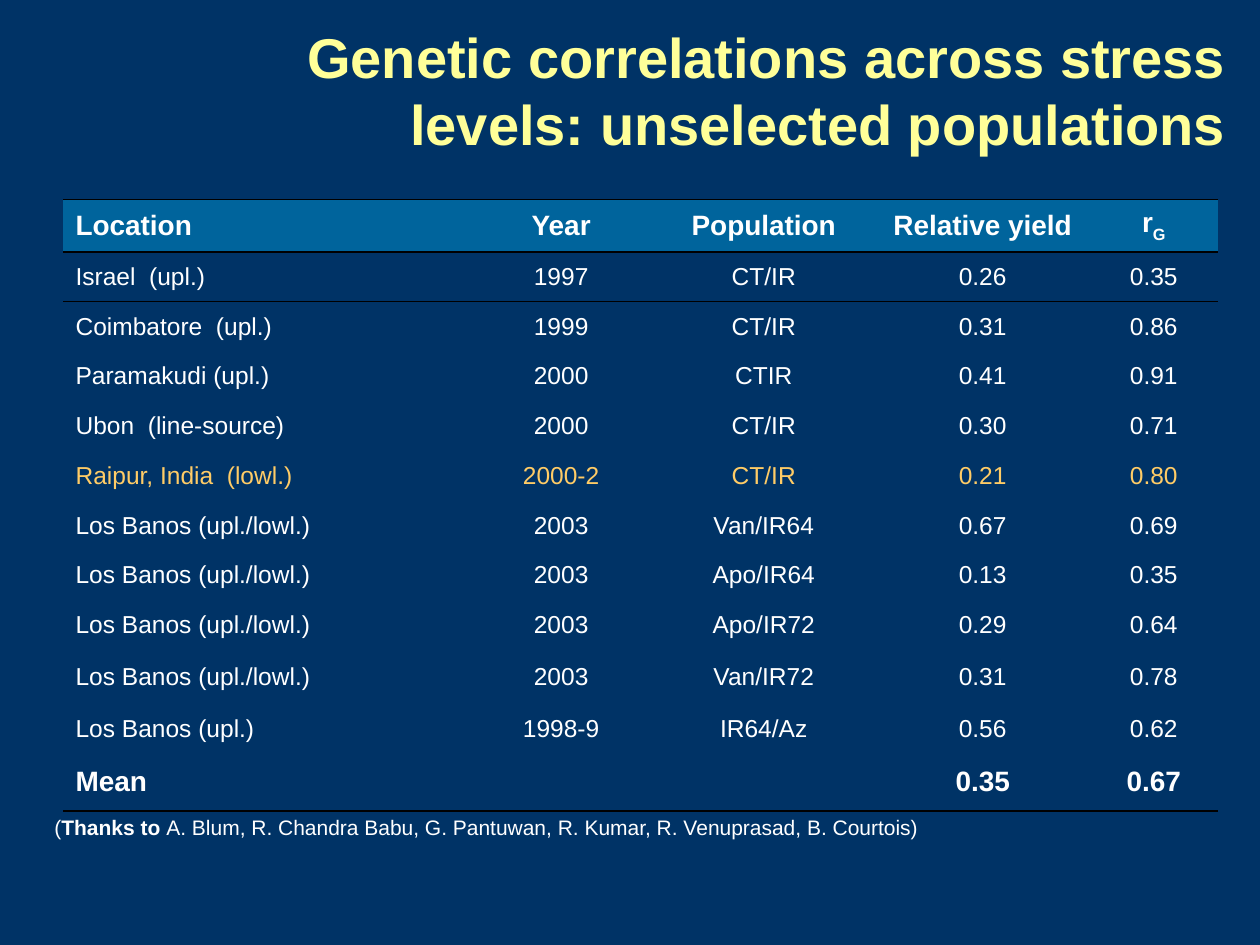
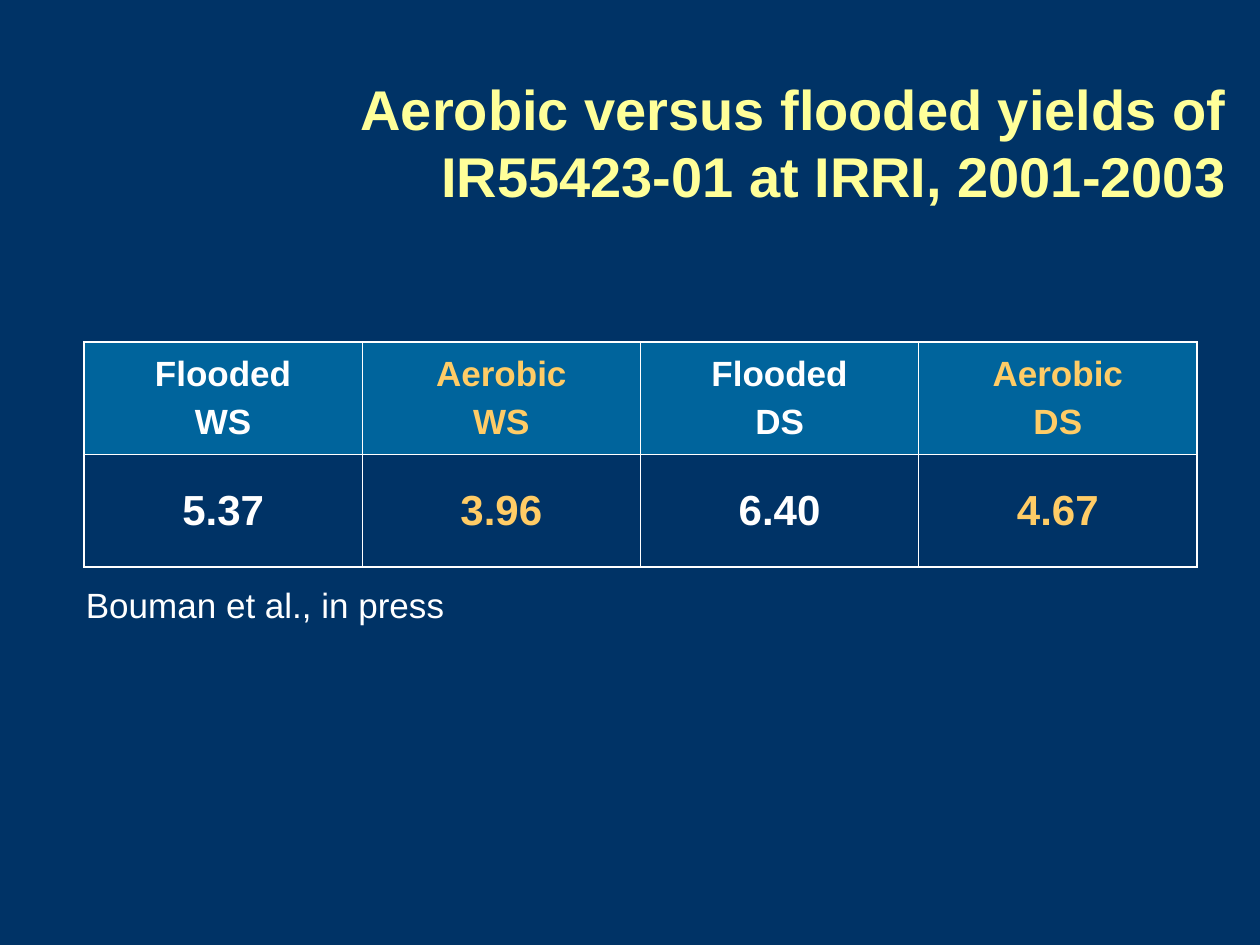
from lxml import etree
from pptx import Presentation, util as u
from pptx.dml.color import RGBColor
from pptx.enum import text
from pptx.oxml.ns import qn

NAVY, BLUE, BLACK = "003366", "00649C", "000000"
WHITE, GOLD, CREAM = "FFFFFF", "FFCC66", "FFFF99"
COLS, ROWS = 120, 90
PLAIN = "{2D5ABB26-0587-4C30-8999-92F81FD0307C}"
LEFT, MID, RIGHT = text.PP_ALIGN.LEFT, text.PP_ALIGN.CENTER, text.PP_ALIGN.RIGHT


def hue(code):
    return RGBColor.from_string(code)


class Deck:
    def __init__(self):
        self.prs = Presentation()
        self.prs.slide_width, self.prs.slide_height = u.Inches(10), u.Inches(7.5)
        self.slide = None

    def x(self, cols):
        return round(self.prs.slide_width * cols / COLS)

    def y(self, rows):
        return round(self.prs.slide_height * rows / ROWS)

    def page(self):
        self.slide = self.prs.slides.add_slide(self.prs.slide_layouts[6])
        fill = self.slide.background.fill
        fill.solid()
        fill.fore_color.rgb = hue(NAVY)

    def prose(self, frame, lines, size, color=WHITE, align=LEFT, gap=0):
        for i, runs in enumerate(lines):
            para = frame.add_paragraph() if i else frame.paragraphs[0]
            para.alignment = align
            if i:
                para.space_before = u.Pt(gap)
            for words, bold, base in runs:
                run = para.add_run()
                run.text = words
                font = run.font
                font.name, font.size, font.bold = "Arial", u.Pt(size), bold
                font.color.rgb = hue(color)
                if base:
                    run._r.get_or_add_rPr().set("baseline", str(base * 1000))

    def label(self, left, top, width, height, runs, size, color=WHITE,
              align=LEFT, anchor=text.MSO_ANCHOR.TOP):
        box = self.slide.shapes.add_textbox(
            self.x(left), self.y(top), self.x(width), self.y(height))
        frame = box.text_frame
        frame.word_wrap = True
        frame.vertical_anchor = anchor
        self.prose(frame, [runs], size, color, align)

    def title(self, top, words):
        self.label(16, top, 102, 15, [(words, True, 0)], 32, CREAM, RIGHT,
                   text.MSO_ANCHOR.MIDDLE)

    def table(self, left, top, widths, heights):
        shape = self.slide.shapes.add_table(
            len(heights), len(widths), self.x(left), self.y(top),
            self.x(sum(widths)), self.y(sum(heights)))
        grid = shape.table
        grid.horz_banding = False
        grid._tbl.tblPr.find(qn("a:tableStyleId")).text = PLAIN
        for col, width in zip(grid.columns, widths):
            col.width = self.x(width)
        for row, height in zip(grid.rows, heights):
            row.height = self.y(height)
        return grid

    def cell(self, cell, lines, size, color, align, head, edges, ink, gap=0):
        cell.vertical_anchor = text.MSO_ANCHOR.MIDDLE
        if head:
            cell.fill.solid()
            cell.fill.fore_color.rgb = hue(BLUE)
        else:
            cell.fill.background()
        self.prose(cell.text_frame, lines, size, color, align, gap)
        props = cell._tc.get_or_add_tcPr()
        sides = [side for side in "LRTB" if side in edges]
        for i, side in enumerate(sides):
            line = etree.Element(qn("a:ln" + side), w=str(int(u.Pt(edges[side]))))
            fill = etree.SubElement(line, qn("a:solidFill"))
            etree.SubElement(fill, qn("a:srgbClr"), val=ink)
            props.insert(i, line)


def stress(deck):
    data = [
        ("Location", "Year", "Population", "Relative yield", "r"),
        ("Israel  (upl.)", "1997", "CT/IR", "0.26", "0.35"),
        ("Coimbatore  (upl.)", "1999", "CT/IR", "0.31", "0.86"),
        ("Paramakudi (upl.)", "2000", "CTIR", "0.41", "0.91"),
        ("Ubon  (line-source)", "2000", "CT/IR", "0.30", "0.71"),
        ("Raipur, India  (lowl.)", "2000-2", "CT/IR", "0.21", "0.80"),
        ("Los Banos (upl./lowl.)", "2003", "Van/IR64", "0.67", "0.69"),
        ("Los Banos (upl./lowl.)", "2003", "Apo/IR64", "0.13", "0.35"),
        ("Los Banos (upl./lowl.)", "2003", "Apo/IR72", "0.29", "0.64"),
        ("Los Banos (upl./lowl.)", "2003", "Van/IR72", "0.31", "0.78"),
        ("Los Banos (upl.)", "1998-9", "IR64/Az", "0.56", "0.62"),
        ("Mean", "", "", "0.35", "0.67"),
    ]
    last = len(data) - 1
    rules = {0: "TB", 1: "T", last: "B"}
    deck.page()
    grid = deck.table(6, 19, [38.8, 17.3, 21.3, 20.4, 12.2],
                      [5] + [4.74] * 8 + [5.15, 4.7, 5.5])
    for r, row in enumerate(data):
        bold = r in (0, last)
        color = GOLD if row[0].startswith("Raipur") else WHITE
        edges = dict.fromkeys(rules.get(r, ""), 0.96)
        for c, words in enumerate(row):
            runs = [(words, bold, 0)] if words else []
            if words == "r":
                runs.append(("G", bold, -30))
            deck.cell(grid.cell(r, c), [runs], 16 if bold else 14, color,
                      MID if c else LEFT, r == 0, edges, BLACK)
    deck.label(4, 77, 113, 3.6, [
        ("(", False, 0), ("Thanks to ", True, 0),
        ("A. Blum, R. Chandra Babu, G. Pantuwan, R. Kumar, "
         "R. Venuprasad, B. Courtois)", False, 0)], 12)
    deck.title(1, "Genetic correlations across stress levels: "
                  "unselected populations")


def yields(deck):
    data = [
        [("Flooded", "WS"), ("Aerobic", "WS"), ("Flooded", "DS"), ("Aerobic", "DS")],
        [("5.37",), ("3.96",), ("6.40",), ("4.67",)],
    ]
    thin, thick = 0.45, 1.08
    deck.page()
    grid = deck.table(8, 32.6, [26.5] * 4, [10.7] * 2)
    for r, row in enumerate(data):
        for c, words in enumerate(row):
            edges = {"L": thin if c else thick, "R": thick if c == 3 else thin,
                     "T": thin if r else thick, "B": thick if r else thin}
            deck.cell(grid.cell(r, c), [[(word, True, 0)] for word in words],
                      24 if r else 20, GOLD if c % 2 else WHITE, MID,
                      r == 0, edges, WHITE, 5)
    deck.label(7, 55, 37, 5.3, [("Bouman et al., in press", False, 0)], 20)
    deck.title(6, "Aerobic versus flooded yields of IR55423-01 at IRRI, 2001-2003")


def main():
    deck = Deck()
    stress(deck)
    yields(deck)
    deck.prs.save("out.pptx")


if __name__ == "__main__":
    main()
